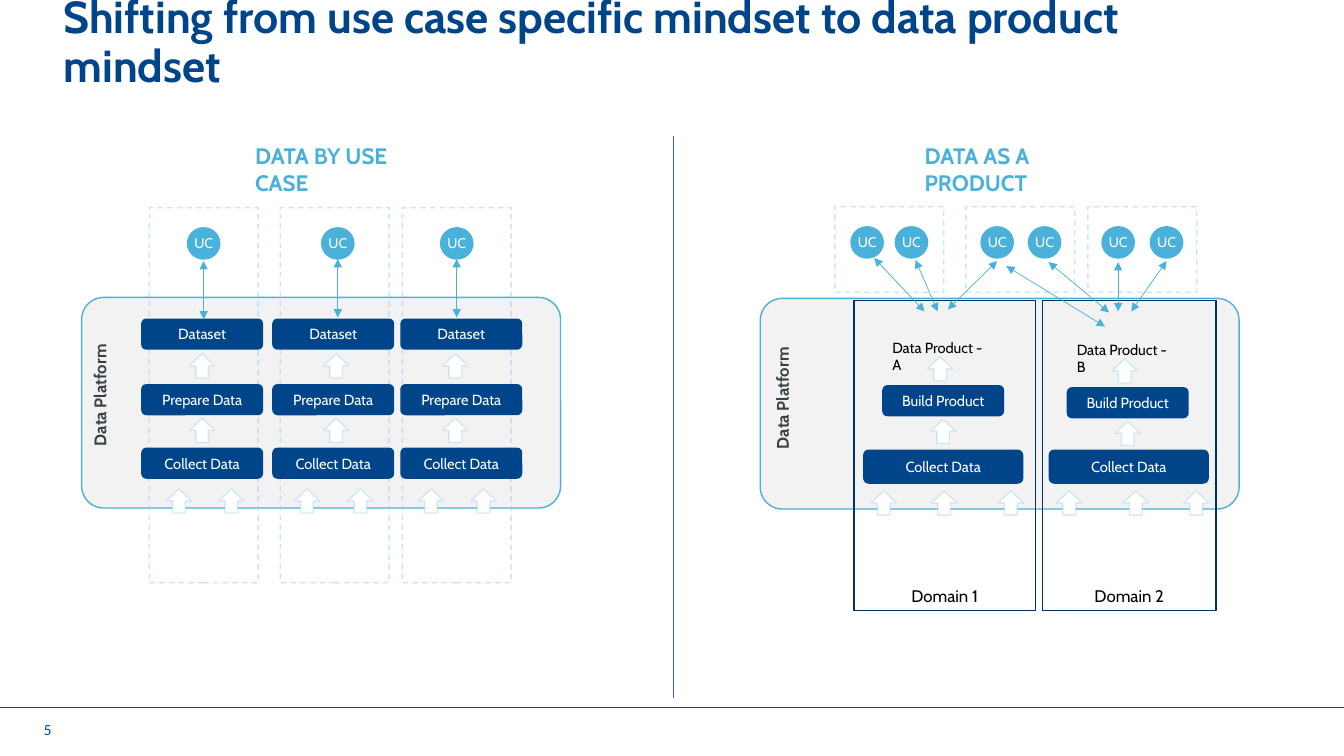
from dataclasses import dataclass

import lxml.etree
import pptx
import pptx.dml.color
import pptx.enum.dml
import pptx.enum.shapes
import pptx.enum.text
import pptx.oxml.ns
import pptx.shapes.autoshape
import pptx.util

Inches = pptx.util.Inches
Pt = pptx.util.Pt
Preset = pptx.enum.shapes.MSO_SHAPE
Anchor = pptx.enum.text.MSO_ANCHOR
Align = pptx.enum.text.PP_ALIGN
Shape = pptx.shapes.autoshape.Shape
qname = pptx.oxml.ns.qn


@dataclass(frozen=True)
class Theme:
    navy: str = "004489"
    frame: str = "003265"
    sky: str = "4AB1DA"
    pale: str = "92D0E9"
    divider: str = "3366CC"
    panel: str = "F2F2F2"
    slate: str = "374146"
    white: str = "FFFFFF"
    black: str = "000000"
    font: str = "Cabin"
    number_font: str = "Lato"
    title: float = 32
    heading: float = 16
    label: float = 12
    stage: float = 10.5
    case: float = 10
    number: float = 9.8


@dataclass(frozen=True)
class Words:
    text: str
    size: float
    color: str
    bold: bool = False
    align: Align = Align.LEFT
    anchor: Anchor = Anchor.TOP
    font: str = "Cabin"
    margins: tuple[float, float, float, float] = (0.1, 0.05, 0.1, 0.05)


@dataclass(frozen=True)
class Pipeline:
    """One use case column: its frame, stages, arrows and link."""
    frame_left: float
    stage_left: float
    arrow_left: float
    link_top: float
    supplies: tuple[float, float]


@dataclass(frozen=True)
class Domain:
    name: str
    product: str
    left: float
    width: float
    collect_left: float
    shift: float
    drop: float
    supplies: tuple[float, float, float]


@dataclass(frozen=True)
class Link:
    start: tuple[float, float]
    end: tuple[float, float]


theme = Theme()
deck = pptx.Presentation()
deck.slide_width, deck.slide_height = Inches(13.33), Inches(7.5)
page = deck.slides.add_slide(deck.slide_layouts[6])


def rgb(color: str) -> pptx.dml.color.RGBColor:
    return pptx.dml.color.RGBColor.from_string(color)


def write(box: Shape, words: Words) -> None:
    frame = box.text_frame
    frame.word_wrap = True
    frame.vertical_anchor = words.anchor
    (frame.margin_left, frame.margin_top,
     frame.margin_right, frame.margin_bottom) = map(Inches, words.margins)
    frame.text = words.text
    para = frame.paragraphs[0]
    para.alignment = words.align
    font = para.runs[0].font
    font.name, font.size, font.bold = words.font, Pt(words.size), words.bold
    font.color.rgb = rgb(words.color)


def add_text(left: float, top: float, width: float, height: float, words: Words) -> Shape:
    box = page.shapes.add_textbox(Inches(left), Inches(top), Inches(width), Inches(height))
    write(box, words)
    return box


def add_box(preset: Preset, left: float, top: float, width: float, height: float,
            fill: str | None = None, line: str | None = None, opacity: int = 100,
            dashed: bool = False, words: Words | None = None) -> Shape:
    box = page.shapes.add_shape(preset, Inches(left), Inches(top), Inches(width), Inches(height))
    box.shadow.inherit = False
    if fill:
        box.fill.solid()
        box.fill.fore_color.rgb = rgb(fill)
    else:
        box.fill.background()
    if line:
        box.line.color.rgb = rgb(line)
        box.line.width = Pt(1)
        if dashed:
            box.line.dash_style = pptx.enum.dml.MSO_LINE.DASH
        if opacity < 100:
            color = box.line._get_or_add_ln().find(".//" + qname("a:srgbClr"))
            lxml.etree.SubElement(color, qname("a:alpha"), val=str(opacity * 1000))
    else:
        box.line.fill.background()
    if words:
        write(box, words)
    return box


def add_line(link: Link, color: str, arrows: bool = False) -> None:
    line = page.shapes.add_connector(pptx.enum.shapes.MSO_CONNECTOR.STRAIGHT,
                                     *map(Inches, link.start + link.end))
    line.line.color.rgb = rgb(color)
    line.line.width = Pt(0.5)
    if arrows:
        outline = line.line._get_or_add_ln()
        for end in ("a:headEnd", "a:tailEnd"):
            lxml.etree.SubElement(outline, qname(end), type="triangle")
    lxml.etree.SubElement(line._element.spPr, qname("a:effectLst"))


def add_stage(left: float, top: float, text: str, width: float = 1.21, height: float = 0.31) -> None:
    add_box(Preset.ROUNDED_RECTANGLE, left, top, width, height, theme.navy,
            words=Words(text, theme.stage, theme.white, align=Align.CENTER, anchor=Anchor.MIDDLE))


def add_up_arrow(left: float, top: float) -> None:
    add_box(Preset.UP_ARROW, left, top, 0.25, 0.24, theme.white, theme.pale, 40)


def add_case_frame(left: float, top: float, height: float) -> None:
    add_box(Preset.RECTANGLE, left, top, 1.08, height, line=theme.pale, opacity=50, dashed=True)


def add_use_case(left: float, top: float) -> None:
    add_box(Preset.OVAL, left, top, 0.32, 0.31, theme.sky, theme.sky,
            words=Words("UC", theme.case, theme.white, align=Align.CENTER,
                        anchor=Anchor.MIDDLE, margins=(0, 0, 0, 0)))


def add_platform(left: float, top: float, label_left: float, label_top: float) -> None:
    panel = add_box(Preset.ROUNDED_RECTANGLE, left, top, 4.75, 2.09, theme.panel, theme.sky)
    panel.adjustments[0] = 0.105
    label = add_text(label_left, label_top, 1.3, 0.3,
                     Words("Data Platform", theme.label, theme.slate, True, Align.CENTER))
    label.rotation = 270


def add_heading(left: float, width: float, text: str) -> None:
    add_text(left, 1.41, width, 0.32,
             Words(text, theme.heading, theme.sky, True, margins=(0, 0, 0, 0.05)))


# Title, footer and divider
title = add_text(0.63, 0.1, 12.07, 0.89,
                 Words("Shifting from use case specific mindset to data product mindset",
                       theme.title, theme.navy, True, anchor=Anchor.BOTTOM, margins=(0, 0, 0, 0.08)))
title.text_frame.paragraphs[0].line_spacing = 0.9
add_line(Link((0, 7.02), (13.33, 7.02)), theme.navy)
add_text(0.04, 7.14, 0.57, 0.21, Words("5", theme.number, theme.navy, align=Align.RIGHT,
                                       anchor=Anchor.MIDDLE, font=theme.number_font))
add_line(Link((6.68, 1.35), (6.68, 6.92)), theme.divider)

# Left half: one pipeline per use case
add_heading(2.53, 1.64, "DATA BY USE CASE")
add_platform(0.81, 2.95, 0.34, 3.77)
for pipeline in (Pipeline(1.48, 1.4, 1.88, 2.59, (1.65, 2.17)),
                 Pipeline(2.78, 2.7, 3.21, 2.57, (2.92, 3.45)),
                 Pipeline(3.99, 3.97, 4.39, 2.57, (4.15, 4.67))):
    add_case_frame(pipeline.frame_left, 2.06, 3.72)
    for stage_top, stage in ((3.16, "Dataset"), (3.81, "Prepare Data"), (4.44, "Collect Data")):
        add_stage(pipeline.stage_left, stage_top, stage)
    for arrow_top in (3.51, 4.15):
        add_up_arrow(pipeline.arrow_left, arrow_top)
    for supply in pipeline.supplies:
        add_up_arrow(supply, 4.85)
    case_left = pipeline.arrow_left - 0.02
    add_use_case(case_left, 2.26)
    center = case_left + 0.16
    add_line(Link((center, pipeline.link_top), (center, pipeline.link_top + 0.58)), theme.sky, True)

# Right half: shared products grouped by domain
add_heading(9.17, 1.82, "DATA AS A PRODUCT")
add_platform(7.54, 2.96, 7.11, 3.8)
for domain in (Domain("Domain 1", "Data Product - A", 8.47, 1.8, 8.56, 0, 0, (8.64, 9.24, 9.9)),
               Domain("Domain 2", "Data Product - B", 10.34, 1.72, 10.4, 1.83, 0.02,
                      (10.48, 11.14, 11.74))):
    add_stage(domain.collect_left, 4.46, "Collect Data", 1.59, 0.34)
    for supply in domain.supplies:
        add_up_arrow(supply, 4.87)
    add_stage(8.75 + domain.shift, 3.82 + domain.drop, "Build Product")
    add_up_arrow(9.23 + domain.shift, 4.16 + domain.drop)
    add_up_arrow(9.2 + domain.shift, 3.54 + domain.drop)
    add_text(8.85 + domain.shift, 3.36 + domain.drop, 0.94, 0.23,
             Words(domain.product, theme.stage, theme.black, margins=(0, 0, 0, 0.05)))
    add_box(Preset.RECTANGLE, domain.left, 2.98, domain.width, 3.08, line=theme.frame,
            words=Words(domain.name, theme.label, theme.black,
                        align=Align.CENTER, anchor=Anchor.BOTTOM))

# Use cases drawing on the products
for frame_left in (8.28, 9.58, 10.79):
    add_case_frame(frame_left, 2.05, 0.85)
for case_left in (8.44, 8.88, 9.73, 10.2, 10.93, 11.41):
    add_use_case(case_left, 2.25)
for link in (Link((8.67, 2.56), (9.17, 3.09)), Link((9.08, 2.58), (9.3, 3.09)),
             Link((9.89, 2.59), (9.4, 3.07)), Link((9.98, 2.64), (10.96, 3.24)),
             Link((10.4, 2.6), (11, 3.1)), Link((11.09, 2.6), (11.09, 3.09)),
             Link((11.57, 2.59), (11.22, 3.09))):
    add_line(link, theme.sky, True)

deck.save("out.pptx")
